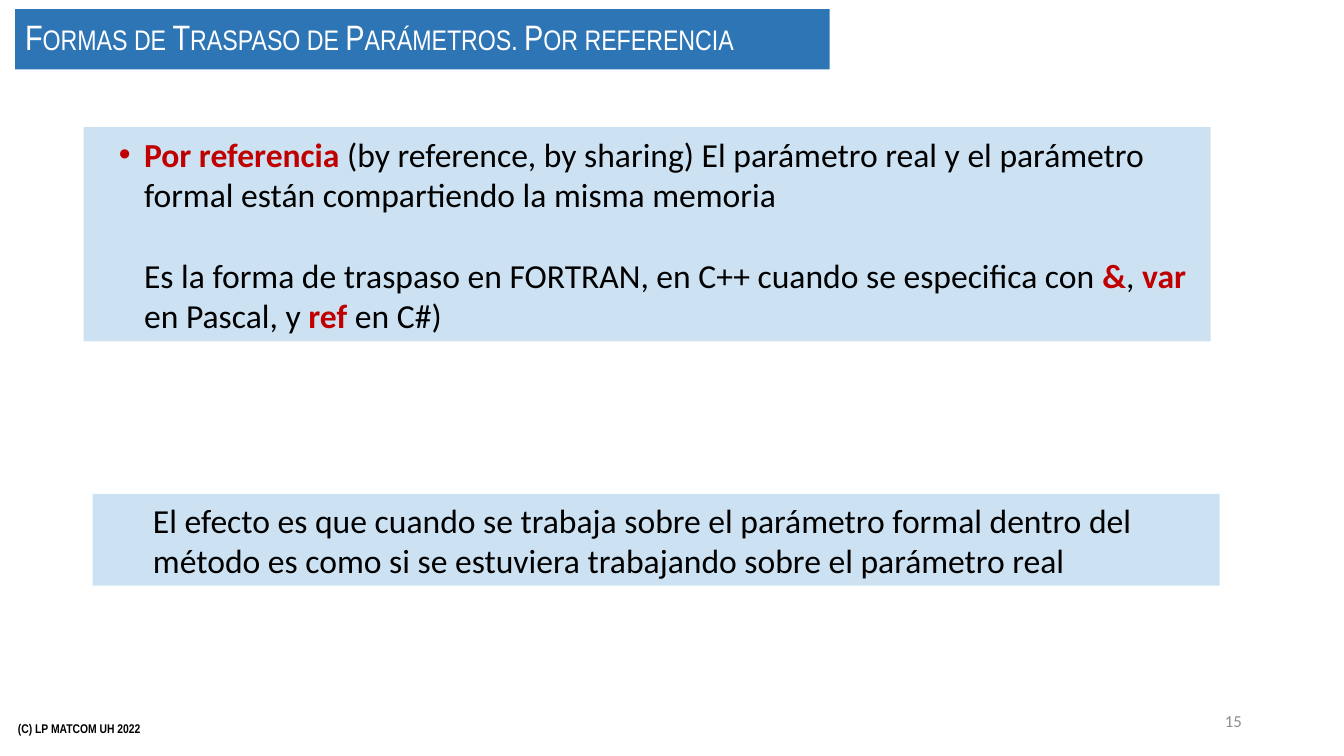
from lxml import etree
from pptx import Presentation
from pptx.dml.color import RGBColor
from pptx.enum.shapes import MSO_SHAPE
from pptx.enum.text import MSO_ANCHOR, MSO_AUTO_SIZE, PP_ALIGN
from pptx.oxml.ns import qn
from pptx.util import Pt

RECTANGLE = MSO_SHAPE.RECTANGLE
MIDDLE = MSO_ANCHOR.MIDDLE
GROW = MSO_AUTO_SIZE.SHAPE_TO_FIT_TEXT
FIXED = MSO_AUTO_SIZE.NONE
LEFT = PP_ALIGN.LEFT
RIGHT = PP_ALIGN.RIGHT

BLACK = RGBColor(0x00, 0x00, 0x00)
WHITE = RGBColor(0xFF, 0xFF, 0xFF)
GRAY = RGBColor(0x8C, 0x8C, 0x8C)
RED = RGBColor(0xC0, 0x00, 0x00)
BLUE = RGBColor(0x00, 0x70, 0xC0)
TITLE_BLUE = RGBColor(0x2E, 0x75, 0xB6)

BODY = {"name": "Calibri", "size": Pt(24), "bold": False}
TITLE = {"name": "Arial Narrow", "size": Pt(25.2)}
FOOTER = {"name": "Arial Narrow", "size": Pt(9), "bold": True}
NUMBER = {"name": "Calibri", "size": Pt(12)}


class SlideBuilder:
    def __init__(self, page):
        self.page = page

    def set_frame(self, box, auto_size):
        frame = box.text_frame
        settings = {"word_wrap": True, "vertical_anchor": MIDDLE, "auto_size": auto_size}
        for key, value in settings.items():
            setattr(frame, key, value)
        return frame

    def add_span(self, para, text, style, color):
        span = para.add_run()
        span.text = text
        for key, value in style.items():
            setattr(span.font, key, value)
        span.font.color.rgb = color
        return span

    def add_label(self, bounds, text, style, color, align=LEFT):
        box = self.page.shapes.add_textbox(*map(Pt, bounds))
        para = self.set_frame(box, FIXED).paragraphs[0]
        para.alignment = align
        self.add_span(para, text, style, color)

    def add_panel(self, bounds, color, auto_size):
        panel = self.page.shapes.add_shape(RECTANGLE, *map(Pt, bounds))
        panel.shadow.inherit = False
        panel.fill.solid()
        panel.fill.fore_color.rgb = color
        panel.line.fill.background()
        return panel, self.set_frame(panel, auto_size)

    def add_title(self, bounds, text):
        panel, frame = self.add_panel(bounds, TITLE_BLUE, FIXED)
        para = frame.paragraphs[0]
        para.alignment = LEFT
        para.line_spacing = 0.9
        span = self.add_span(para, text, TITLE, WHITE)
        span._r.get_or_add_rPr().set("cap", "small")

    def add_note(self, bounds, paragraphs, bulleted=False):
        panel, frame = self.add_panel(bounds, BLUE, GROW)
        fill_color = panel._element.spPr.find(qn("a:solidFill"))[0]
        etree.SubElement(fill_color, qn("a:alpha")).set("val", "20000")
        for index, spans in enumerate(paragraphs):
            para = frame.paragraphs[0] if index == 0 else frame.add_paragraph()
            para.alignment = LEFT
            para.level = 1
            para.space_before = Pt(29 if index else 0)
            has_bullet = bulleted and index == 0
            properties = para._p.get_or_add_pPr()
            properties.set("marL", str(Pt(36)))
            properties.set("indent", str(Pt(-18 if has_bullet else 0)))
            if has_bullet:
                etree.SubElement(properties, qn("a:buFont")).set("typeface", "Arial")
                etree.SubElement(properties, qn("a:buChar")).set("char", "•")
            for text, highlighted in spans:
                style = {**BODY, "bold": highlighted}
                self.add_span(para, text, style, RED if highlighted else BLACK)


def main():
    deck = Presentation()
    deck.slide_width = Pt(960)
    deck.slide_height = Pt(540)
    builder = SlideBuilder(deck.slides.add_slide(deck.slide_layouts[6]))

    builder.add_label((5.76, 506.2, 324, 28.8), "(C) LP MATCOM UH 2022", FOOTER, BLACK)
    builder.add_label((678.2, 500.4, 216, 28.8), "15", NUMBER, GRAY, RIGHT)
    builder.add_note((59.8, 90.9, 805, 153), [
        [("Por referencia ", True),
         ("(by reference, by sharing) El parámetro real y el parámetro formal "
          "están compartiendo la misma memoria", False)],
        [("Es la forma de traspaso en FORTRAN, en C++ cuando se especifica con ", False),
         ("&", True), (", ", False), ("var", True),
         (" en Pascal, y ", False), ("ref ", True), ("en C#)", False)],
    ], bulleted=True)
    builder.add_title((10.8, 6.5, 581.8, 43.2),
                      "Formas de Traspaso de Parámetros. Por referencia")
    builder.add_note((66.2, 352.8, 805, 65.5), [
        [("El efecto es que cuando se trabaja sobre el parámetro formal dentro del "
          "método es como si se estuviera trabajando sobre el parámetro real", False)],
    ])
    deck.save("out.pptx")


if __name__ == "__main__":
    main()
